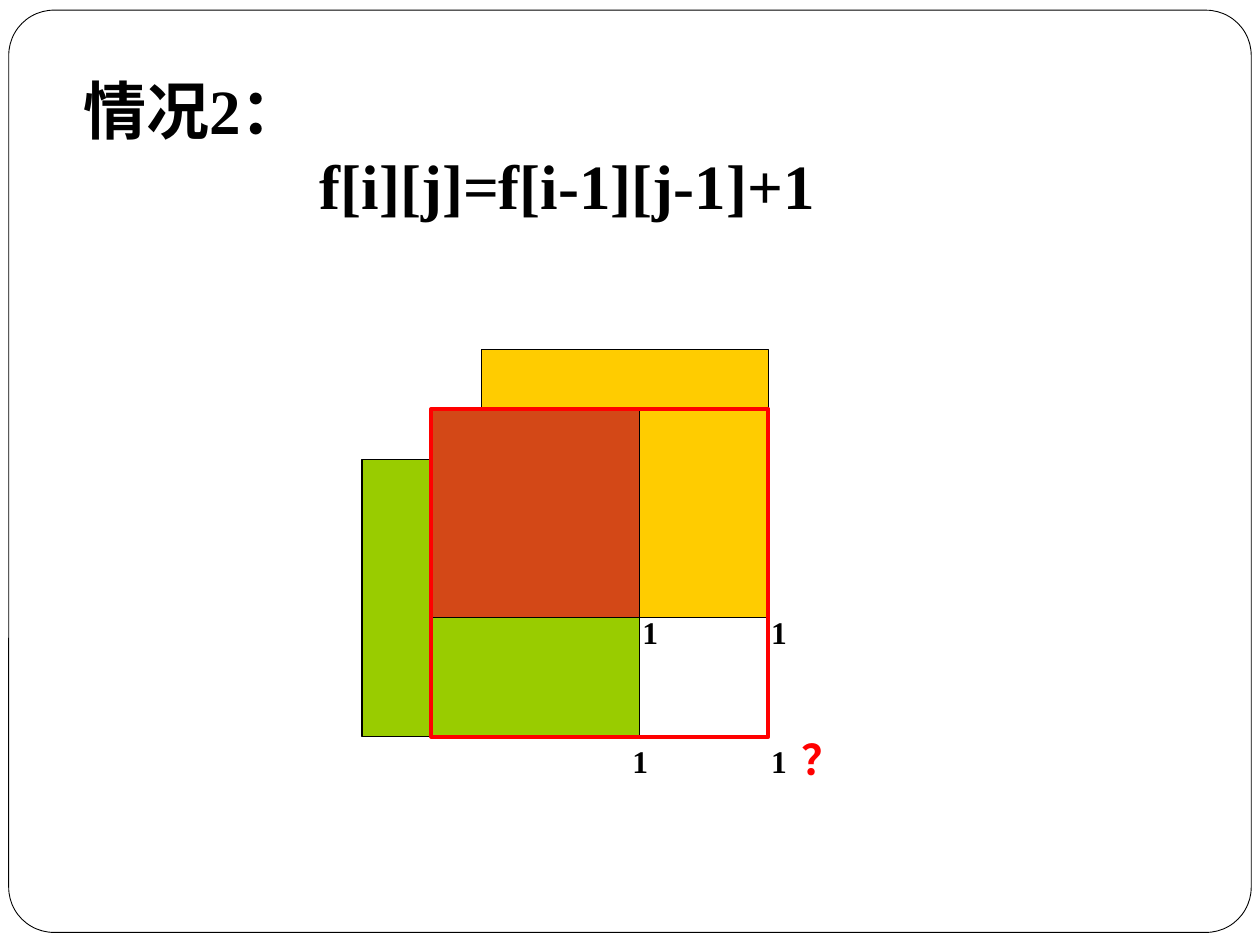
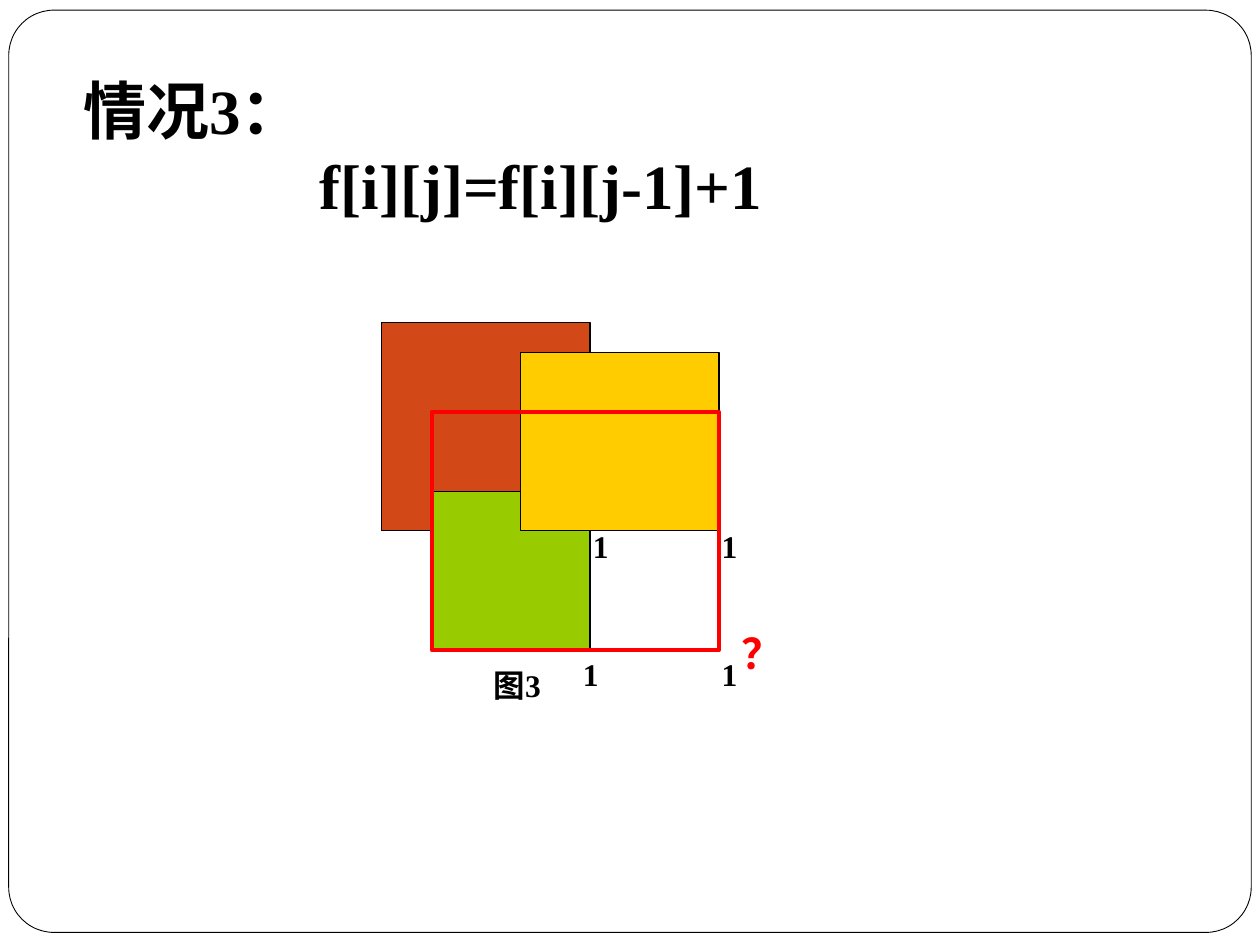
"""Draw two cases of the largest-square recurrence."""
from pptx import Presentation
from pptx.dml.color import RGBColor
from pptx.enum import dml, shapes, text
from pptx.oxml import ns
from pptx.util import Pt
from lxml import etree

FONT = "Times New Roman"
BLACK, RED = "000000", "FF0000"
GREEN, GOLD, RUST = "99CC00", "FFCC00", "D34817"
CELL_W, CELL_H = 73.6, 68.2


def paint(fmt, color):
    """Set a solid colour on a fill."""
    fmt.solid()
    fmt.fore_color.rgb = RGBColor.from_string(color)


def style(frame, words, size, color=BLACK):
    """Write one bold line of words into a text frame."""
    frame.word_wrap = True
    frame.auto_size = text.MSO_AUTO_SIZE.NONE
    frame.vertical_anchor = text.MSO_ANCHOR.TOP
    frame.text = words
    para = frame.paragraphs[0]
    para.alignment = text.PP_ALIGN.LEFT
    font = para.font
    font.name, font.size, font.bold = FONT, Pt(size), True
    paint(font.fill, color)


def label(slide, words, box, size=18, color=BLACK):
    """Add a text box."""
    item = slide.shapes.add_textbox(*map(Pt, box))
    style(item.text_frame, words, size, color)


def block(slide, box, fill=None, line=BLACK, width=0.75,
          kind=shapes.MSO_SHAPE.RECTANGLE):
    """Add an outlined shape, filled when a fill is given."""
    item = slide.shapes.add_shape(kind, *map(Pt, box))
    item.shadow.inherit = False
    if fill:
        paint(item.fill, fill)
    else:
        item.fill.background()
    paint(item.line.fill, line)
    item.line.width = Pt(width)
    return item


def edge(slide, start, end, dash=None):
    """Add a thin black line."""
    line = slide.shapes.add_connector(
        shapes.MSO_CONNECTOR.STRAIGHT, *map(Pt, start + end))
    paint(line.line.fill, BLACK)
    line.line.width = Pt(0.75)
    line.line.dash_style = dash
    etree.SubElement(line._element.spPr, ns.qn("a:effectLst"))


def base(deck, title, rule):
    """Add a slide with its frame, title and formula."""
    slide = deck.slides.add_slide(deck.slide_layouts[5])
    frame = block(slide, (5, 5.8, 710, 527), width=0.5,
                  kind=shapes.MSO_SHAPE.ROUNDED_RECTANGLE)
    frame.adjustments[0] = 0.049
    head = slide.shapes.title
    head.left, head.top, head.width, head.height = map(
        Pt, (40.3, 37.4, 141.8, 51))
    style(head.text_frame, title, 36)
    label(slide, rule, (175.7, 80, 428, 51), 36)
    return slide


def figure(slide, left, top, parts, bound, query):
    """Draw squares that end at the corners of the cell at left, top."""
    right, low = left + CELL_W, top + CELL_H
    ends = {GREEN: (left, low), GOLD: (right, top), RUST: (left, top)}
    for color, wide, high in parts:
        x, y = ends[color]
        block(slide, (x - wide, y - high, wide, high), color)
    edge(slide, (right, top), (right, low), dml.MSO_LINE.ROUND_DOT)
    edge(slide, (left, low), (right, low))
    for dx, dy in ((68, 67.6), (68, -6), (-5.5, -6), (-11.2, 67.6)):
        label(slide, "1", (left + dx, top + dy, 34, 29))
    wide, high = bound
    block(slide, (right - wide, low - high, wide, high),
          line=RED, width=2.25)
    label(slide, "？", query + (28, 36), 24, RED)


def main():
    """Build and save both slides."""
    deck = Presentation()
    deck.slide_width, deck.slide_height = Pt(720), Pt(540)

    slide = base(deck, "情况2：", "f[i][j]=f[i-1][j-1]+1")
    figure(slide, 365.5, 352.8,
           [(GREEN, 158.6, 158.6), (GOLD, 164, 153.2), (RUST, 119, 119)],
           (192.6, 187.4), (450.7, 415.4))

    slide = base(deck, "情况3：", "f[i][j]=f[i][j-1]+1")
    figure(slide, 337.2, 303.4,
           [(RUST, 119, 119), (GREEN, 90.8, 90.8), (GOLD, 113.4, 102)],
           (164, 136.2), (416.9, 355))
    label(slide, "图3", (275, 377.3, 51, 29))

    deck.save("out.pptx")


if __name__ == "__main__":
    main()
